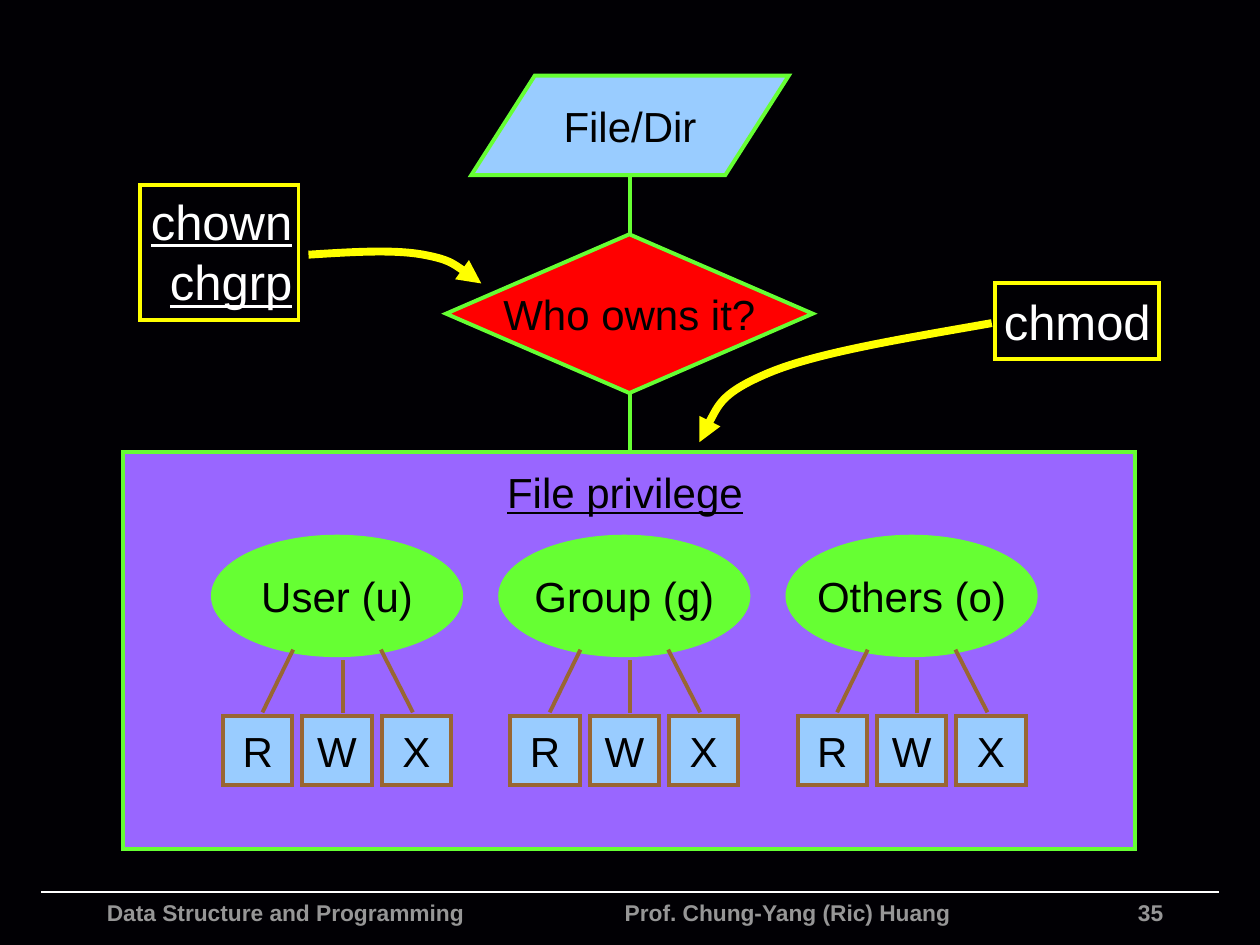
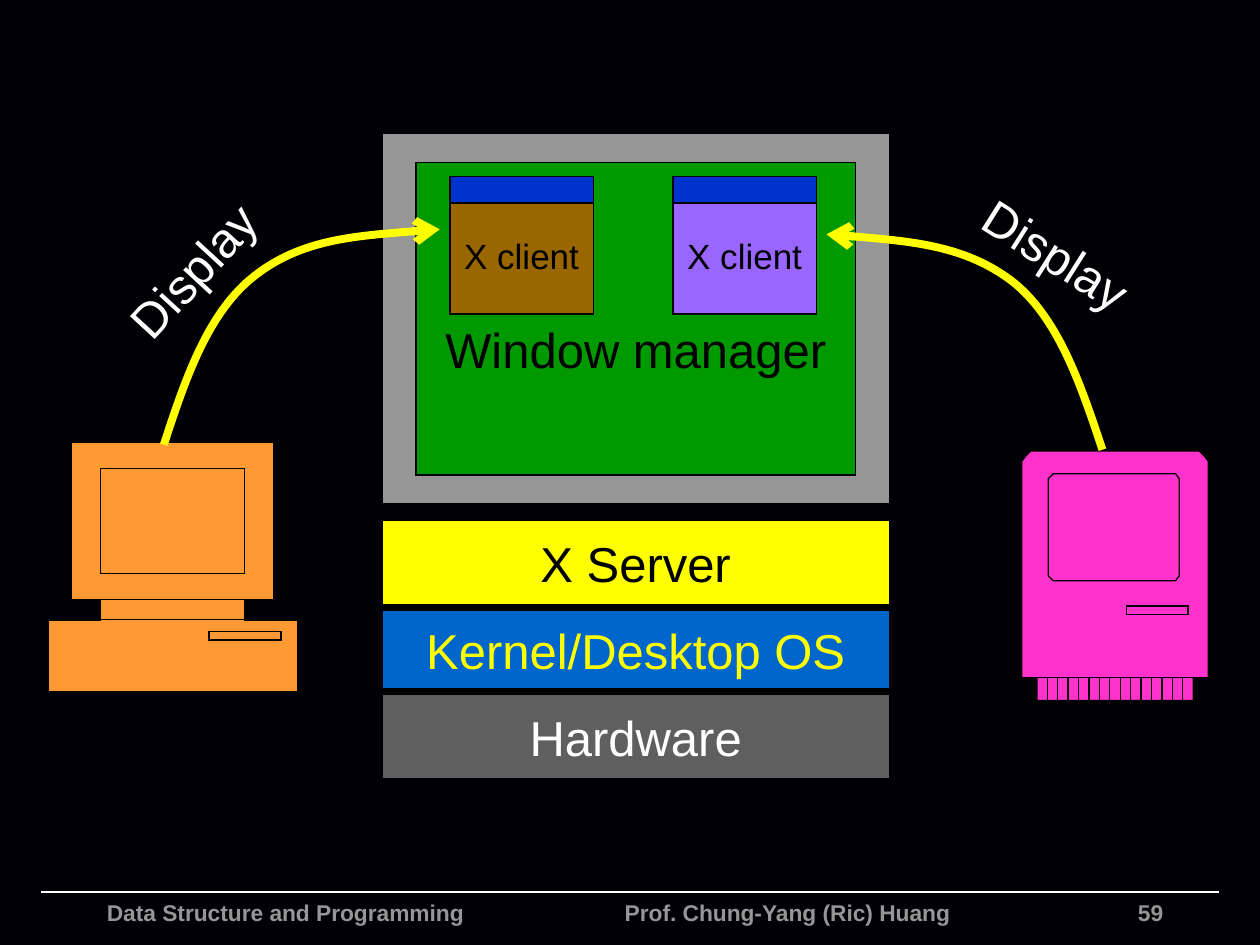
from lxml.etree import SubElement
from pptx import Presentation
from pptx.dml.color import RGBColor
from pptx.enum.shapes import MSO_CONNECTOR, MSO_SHAPE as SHAPE
from pptx.enum.text import MSO_ANCHOR as ANCHOR, PP_ALIGN as ALIGN
from pptx.oxml.ns import qn
from pptx.util import Inches, Pt

FONT = "Arial"
BLACK, WHITE, NIGHT = "000000", "FFFFFF", "010004"
GREEN, YELLOW, BROWN = "66FF33", "FFFF00", "996633"
SKY, PURPLE, GRAY = "99CCFF", "9966FF", "969696"
COURSE = "Data Structure and Programming"
TEACHER = "Prof. Chung-Yang (Ric) Huang"


def color(value):
    return RGBColor.from_string(value)


def sharpen(shape):
    """Give a line square ends and pointed corners."""
    stroke = shape.element.spPr.find(qn("a:ln"))
    stroke.set("cap", "sq")
    SubElement(stroke, qn("a:miter"), lim="800000")
    return stroke


def paint(shape, fill, line, width):
    """Set fill and outline; None leaves the fill empty."""
    shape.shadow.inherit = False
    if fill:
        shape.fill.solid()
        shape.fill.fore_color.rgb = color(fill)
    else:
        shape.fill.background()
    shape.line.color.rgb = color(line)
    shape.line.width = Pt(width)
    return sharpen(shape)


def write(shape, text, size, ink, align=ALIGN.CENTER, anchor=ANCHOR.MIDDLE,
          underline=False, bold=False, inset=0.05, wrap=False):
    """Write one paragraph per line of text."""
    frame = shape.text_frame
    frame.word_wrap = wrap
    frame.vertical_anchor = anchor
    frame.margin_left = frame.margin_right = Inches(inset)
    frame.margin_top = frame.margin_bottom = Inches(0.05)
    for i, words in enumerate(text.split("\n")):
        paragraph = frame.add_paragraph() if i else frame.paragraphs[0]
        paragraph.alignment = align
        if i:
            paragraph.space_before = Pt(1)
        run = paragraph.add_run()
        run.text = words
        run.font.name, run.font.size = FONT, Pt(size)
        run.font.color.rgb = color(ink)
        run.font.bold = bold
        run.font.underline = underline


def block(shapes, at, fill=None, line=BLACK, width=1, kind=SHAPE.RECTANGLE,
          text=None, size=24, ink=BLACK, **style):
    shape = shapes.add_shape(kind, *map(Inches, at))
    paint(shape, fill, line, width)
    if text:
        write(shape, text, size, ink, **style)
    return shape


def label(shapes, at, text, size, ink, rotation=0, **style):
    box = shapes.add_textbox(*map(Inches, at))
    box.rotation = rotation
    write(box, text, size, ink, **style)


def straight(shapes, start, end, ink, width=2.25):
    line = shapes.add_connector(MSO_CONNECTOR.STRAIGHT, *map(Inches, start + end))
    line.line.color.rgb = color(ink)
    line.line.width = Pt(width)
    sharpen(line)
    SubElement(line.element.spPr, qn("a:effectLst"))


def outline(shapes, *contours, close=True):
    """Join one or more lists of points into a single freeform."""
    contours = [[(Inches(x), Inches(y)) for x, y in points] for points in contours]
    builder = shapes.build_freeform(*contours[0][0])
    for i, points in enumerate(contours):
        if i:
            builder.move_to(*points[0])
        builder.add_line_segments(points[1:], close=close)
    return builder.convert_to_shape()


def corners(left, top, width, height):
    right, bottom = left + width, top + height
    return [(left, top), (right, top), (right, bottom), (left, bottom)]


def curved_arrow(shapes, points, head):
    """Draw a start point plus groups of three Bézier points, with an arrowhead."""
    arrow = outline(shapes, points, close=False)
    track = next(arrow.element.iter(qn("a:path")))
    segments = track.findall(qn("a:lnTo"))
    for i in range(0, len(segments), 3):
        bezier = SubElement(track, qn("a:cubicBezTo"))
        for segment in segments[i:i + 3]:
            bezier.append(segment[0])
            track.remove(segment)
    stroke = paint(arrow, None, YELLOW, 4.5)
    SubElement(stroke, qn("a:tailEnd"), type=head)


def new_slide(deck, number):
    """Add a slide with the shared footer."""
    slide = deck.slides.add_slide(deck.slide_layouts[6])
    straight(slide.shapes, (0.33, 7.08), (9.67, 7.08), WHITE, 1)
    for left, width, words, align in ((0.75, 4, COURSE, ALIGN.LEFT),
                                      (4.86, 3.2, TEACHER, ALIGN.LEFT),
                                      (8.33, 1, number, ALIGN.RIGHT)):
        label(slide.shapes, (left, 7.08, width, 0.32), words, 13, GRAY, align=align,
              anchor=ANCHOR.TOP, bold=True, inset=0.1, wrap=True)
    return slide.shapes


def permission_bits(shapes, left):
    """R, W and X boxes with the lines up to their class of users."""
    group = shapes.add_group_shape().shapes
    for i, bit in enumerate("RWX"):
        block(group, (left + 0.63 * i, 5.68, 0.55, 0.55), SKY, BROWN, 2.25, text=bit)
    for bottom, top, height in ((0.95, 0.95, 5.25), (0.32, 0.55, 5.17), (1.5, 1.26, 5.17)):
        straight(group, (left + bottom, 5.64), (left + top, height), BROWN)


def privilege_slide(deck):
    shapes = new_slide(deck, "35")
    # Flow from file to owner to privileges
    block(shapes, (3.74, 0.6, 2.52, 0.79), SKY, GREEN, 2.25, SHAPE.FLOWCHART_DATA, "File/Dir")
    block(shapes, (3.54, 1.86, 2.91, 1.26), "FF0000", GREEN, 2.25,
          SHAPE.FLOWCHART_DECISION, "Who owns it?")
    block(shapes, (0.98, 3.59, 8.03, 3.15), PURPLE, GREEN, 2.25)
    label(shapes, (3.97, 3.65, 1.98, 0.5), "File privilege", 24, BLACK, underline=True)
    for top in (1.39, 3.12):
        straight(shapes, (5, top), (5, top + 0.47), GREEN)

    # Classes of users
    for i, users in enumerate(("User (u)", "Group (g)", "Others (o)")):
        left = 1.69 + 2.28 * i
        block(shapes, (left, 4.26, 1.97, 0.94), GREEN, GREEN, 2.25, SHAPE.OVAL, users)
        permission_bits(shapes, left + 0.08)

    # Commands and what they change
    block(shapes, (1.11, 1.47, 1.26, 1.07), None, YELLOW, 2.25, text="chown\nchgrp",
          size=28, ink=WHITE, align=ALIGN.RIGHT, anchor=ANCHOR.TOP, underline=True)
    block(shapes, (7.9, 2.25, 1.3, 0.6), None, YELLOW, 2.25, text="chmod",
          size=28, ink=WHITE)
    curved_arrow(shapes, [(2.48, 2.02), (2.8, 2), (3.12, 1.98), (3.35, 2.02),
                          (3.57, 2.06), (3.69, 2.15), (3.82, 2.25)], "triangle")
    curved_arrow(shapes, [(7.84, 2.57), (7.16, 2.69), (6.48, 2.8), (6.1, 2.96),
                          (5.72, 3.12), (5.64, 3.32), (5.55, 3.51)], "triangle")


def desktop_computer(shapes):
    case = [(1.94, 4.92), (1.94, 4.76), (2.17, 4.76), (2.17, 3.51),
            (0.57, 3.51), (0.57, 4.76), (0.8, 4.76), (0.8, 4.92),
            (0.38, 4.92), (0.38, 5.49), (2.36, 5.49), (2.36, 4.92)]
    paint(outline(shapes, case), "FF9933", BLACK, 0.75)
    neck = corners(0.8, 4.76, 1.14, 0.16)
    screen = corners(0.8, 3.72, 1.14, 0.83)
    drive = corners(1.66, 5.01, 0.57, 0.07)
    paint(outline(shapes, neck, screen, drive), None, BLACK, 0.75)


def compact_computer(shapes):
    middle = 8.85
    half = [(0.62, 3.58), (0.67, 3.58), (0.71, 3.62), (0.74, 3.66),
            (0.74, 5.38), (0.62, 5.38), (0.62, 5.56)]
    case = [(middle + x, y) for x, y in half] + [(middle - x, y) for x, y in half[::-1]]
    paint(outline(shapes, case), "FF33CC", BLACK, 0.75)
    screen = [(8.36, 3.76), (9.33, 3.76), (9.36, 3.8), (9.36, 4.57),
              (9.33, 4.61), (8.36, 4.61), (8.32, 4.57), (8.32, 3.8)]
    drive = corners(8.94, 4.81, 0.49, 0.07)
    edge = [(8.23, 5.38), (9.47, 5.38)]
    vents = [[(8.23 + 1.24 * i / 15, y) for y in (5.38, 5.56)] for i in range(1, 15)]
    paint(outline(shapes, screen, drive, edge, *vents), None, BLACK, 0.75)


def client_window(shapes, left, fill):
    group = shapes.add_group_shape().shapes
    block(group, (left, 1.57, 1.14, 0.92), fill, text="X client", size=20)
    block(group, (left, 1.4, 1.14, 0.21), "0033CC")


def display_slide(deck):
    shapes = new_slide(deck, "59")
    # Layers below the screen
    for top, height, fill, words, ink in ((5.51, 0.67, "5F5F5F", "Hardware", WHITE),
                                          (4.84, 0.63, "0066CC", "Kernel/Desktop OS", YELLOW),
                                          (4.13, 0.67, YELLOW, "X Server", BLACK)):
        block(shapes, (3.03, top, 4.03, height), fill, text=words, size=28, ink=ink)

    # Screen with the window manager and its clients
    block(shapes, (3.03, 1.06, 4.03, 2.94), GRAY)
    manager = block(shapes, (3.3, 1.29, 3.49, 2.48), "009900", text="Window manager", size=28)
    manager.text_frame.margin_top = Inches(0.52)
    desktop_computer(shapes)
    compact_computer(shapes)
    client_window(shapes, 3.57, "996600")
    client_window(shapes, 5.34, PURPLE)

    # Displays sent from both computers
    curved_arrow(shapes, [(1.31, 3.5), (1.48, 2.98), (1.66, 2.47), (2.02, 2.19),
                          (2.39, 1.9), (2.94, 1.86), (3.49, 1.82)], "arrow")
    curved_arrow(shapes, [(8.74, 3.54), (8.57, 3.03), (8.39, 2.51), (8.03, 2.23),
                          (7.66, 1.95), (7.11, 1.9), (6.56, 1.86)], "arrow")
    for left, top, rotation in ((0.84, 1.86, 312.6), (7.7, 1.73, 32.3)):
        label(shapes, (left, top, 1.38, 0.57), "Display", 28, WHITE, rotation)


def main():
    deck = Presentation()
    deck.slide_width, deck.slide_height = Inches(10), Inches(7.5)
    backdrop = deck.slide_master.background.fill
    backdrop.solid()
    backdrop.fore_color.rgb = color(NIGHT)
    privilege_slide(deck)
    display_slide(deck)
    deck.save("out.pptx")


if __name__ == "__main__":
    main()
